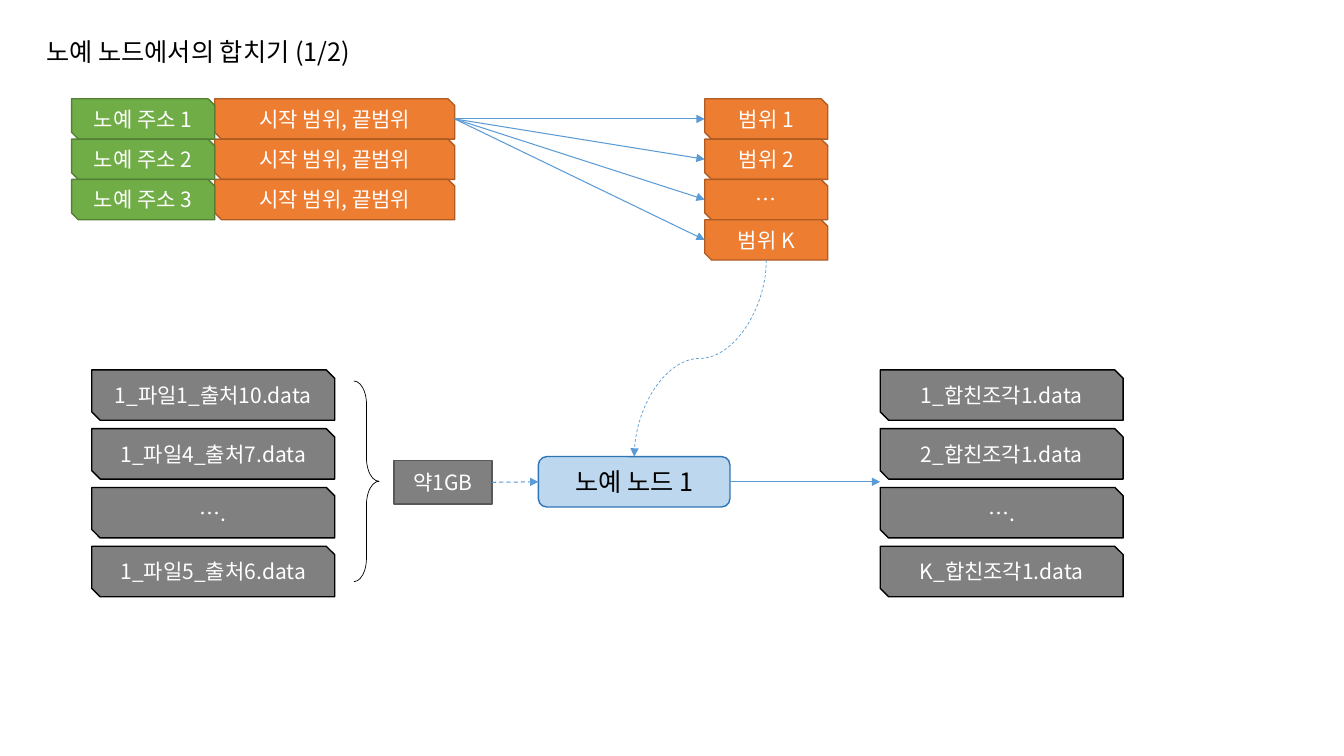
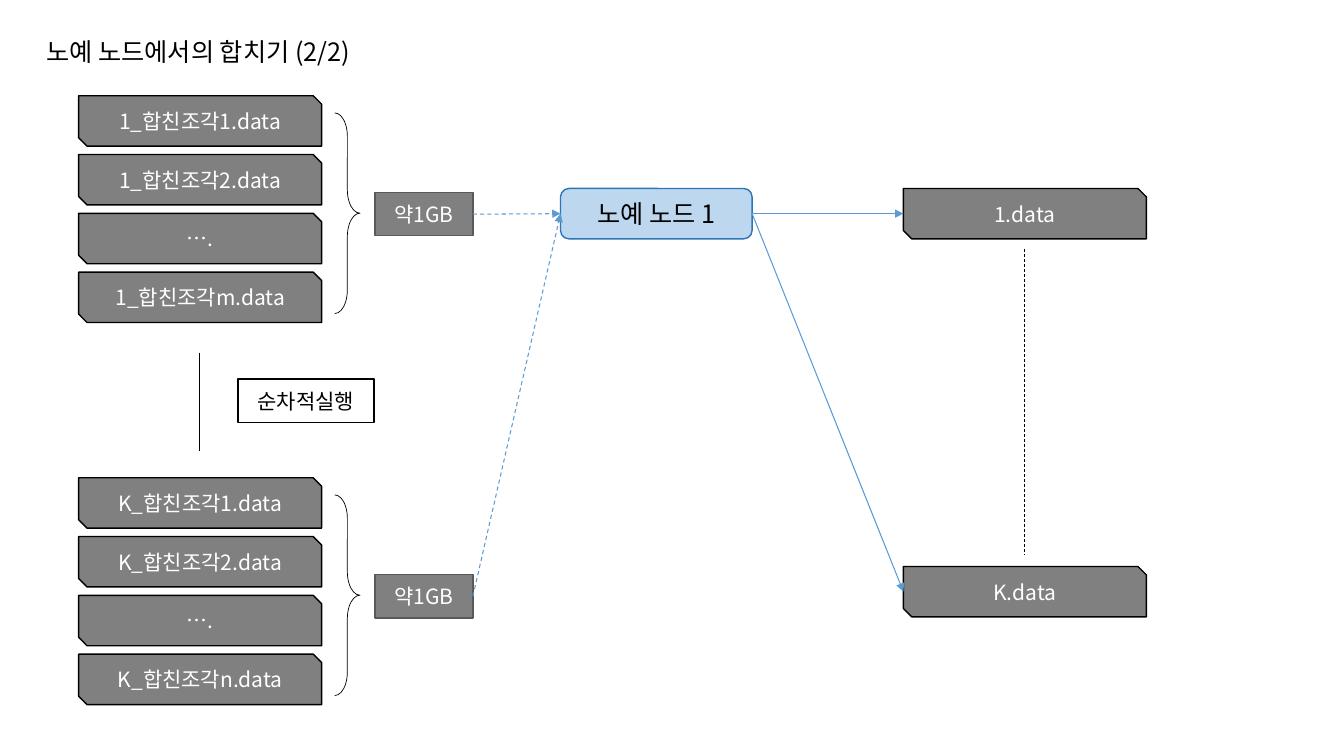
from lxml import etree
from pptx import Presentation
from pptx.dml.color import RGBColor
from pptx.enum.dml import MSO_LINE
from pptx.enum.shapes import MSO_CONNECTOR as CXN, MSO_SHAPE as SHAPE
from pptx.enum.text import MSO_ANCHOR, MSO_AUTO_SIZE, PP_ALIGN
from pptx.oxml.ns import qn
from pptx.util import Inches, Pt

# Content
TITLES = ["노예 노드에서의 합치기 (1/2)", "노예 노드에서의 합치기 (2/2)"]
NODE = "노예 노드 1"
SIZE_NOTE = "약1GB"
ADDRESSES = ["노예 주소 1", "노예 주소 2", "노예 주소 3"]
ADDRESS_RANGE = "시작 범위, 끝범위"
RANGES = ["범위 1", "범위 2", "…", "범위 K"]
SOURCE_FILES = ["1_파일1_출처10.data", "1_파일4_출처7.data", "….", "1_파일5_출처6.data"]
MERGED_PIECES = ["1_합친조각1.data", "2_합친조각1.data", "….", "K_합친조각1.data"]
FIRST_PIECES = ["1_합친조각1.data", "1_합친조각2.data", "….", "1_합친조각m.data"]
LAST_PIECES = ["K_합친조각1.data", "K_합친조각2.data", "….", "K_합친조각n.data"]
SEQUENTIAL = "순차적실행"
RESULTS = ["1.data", "K.data"]

# Shared style
FONT = "Noto Sans CJK KR"
BLACK = RGBColor(0x00, 0x00, 0x00)
WHITE = RGBColor(0xFF, 0xFF, 0xFF)
GRAY = RGBColor(0x80, 0x80, 0x80)
DARK_GRAY = RGBColor(0x59, 0x59, 0x59)
ORANGE = RGBColor(0xED, 0x7D, 0x31)
DARK_ORANGE = RGBColor(0xAF, 0x5C, 0x24)
GREEN = RGBColor(0x70, 0xAD, 0x47)
DARK_GREEN = RGBColor(0x53, 0x80, 0x35)
PALE_BLUE = RGBColor(0xBD, 0xD7, 0xEE)
DARK_BLUE = RGBColor(0x2E, 0x75, 0xB6)
BLUE = RGBColor(0x5B, 0x9B, 0xD5)

# kind: (preset, fill, line, text colour, text size)
STYLES = {
    "file": (SHAPE.SNIP_2_DIAG_RECTANGLE, GRAY, BLACK, WHITE, 15),
    "range": (SHAPE.SNIP_2_DIAG_RECTANGLE, ORANGE, DARK_ORANGE, WHITE, 15),
    "address": (SHAPE.SNIP_2_DIAG_RECTANGLE, GREEN, DARK_GREEN, WHITE, 15),
    "size": (SHAPE.RECTANGLE, GRAY, DARK_GRAY, WHITE, 15),
    "note": (SHAPE.RECTANGLE, WHITE, BLACK, BLACK, 15),
    "node": (SHAPE.ROUNDED_RECTANGLE, PALE_BLUE, DARK_BLUE, BLACK, 18),
}
FILE_W, FILE_H = 2.41, 0.5
FILE_PITCH = 1.75 / 3
ROW_H = 0.4
RIGHT, LEFT, BOTTOM, TOP = (1, 0.5), (0, 0.5), (0.5, 1), (0.5, 0)


def add_run(p, text, size, color):
    """Add one run in the shared font for Latin and Korean text."""
    r = p.add_run()
    r.text = text
    r.font.name, r.font.size = FONT, Pt(size)
    r.font.color.rgb = color
    ea = etree.SubElement(r.font._element, qn("a:ea"))
    ea.set("typeface", FONT)


def add_slide(prs, title):
    """Add a title-only slide with the shared title style."""
    s = prs.slides.add_slide(prs.slide_layouts[5])
    sp = s.shapes.title
    sp.left, sp.top, sp.width, sp.height = map(Inches, (0.36, 0.31, 7.65, 0.4))
    tf = sp.text_frame
    tf.word_wrap = True
    tf.auto_size = MSO_AUTO_SIZE.SHAPE_TO_FIT_TEXT
    tf.vertical_anchor = MSO_ANCHOR.TOP
    p = tf.paragraphs[0]
    p.alignment = PP_ALIGN.LEFT
    add_run(p, title, 18, BLACK)
    return s


def add_box(s, kind, text, x, y, w, h):
    """Add a labelled box of one of the shared styles."""
    preset, fill, line, color, size = STYLES[kind]
    sp = s.shapes.add_shape(preset, *map(Inches, (x, y, w, h)))
    sp.shadow.inherit = False
    sp.fill.solid()
    sp.fill.fore_color.rgb = fill
    sp.line.color.rgb = line
    sp.line.width = Pt(1)
    tf = sp.text_frame
    tf.word_wrap = True
    tf.vertical_anchor = MSO_ANCHOR.MIDDLE
    p = tf.paragraphs[0]
    p.alignment = PP_ALIGN.CENTER
    add_run(p, text, size, color)
    return sp


def add_stack(s, kind, labels, x, y, w, h, pitch):
    """Add boxes one below another at an equal pitch."""
    return [add_box(s, kind, label, x, y + i * pitch, w, h)
            for i, label in enumerate(labels)]


def add_files(s, labels, x, y):
    """Add a stack of data files."""
    return add_stack(s, "file", labels, x, y, FILE_W, FILE_H, FILE_PITCH)


def add_node(s, x, y):
    """Add the worker node."""
    return add_box(s, "node", NODE, x, y, 1.9, 0.5)


def add_size_group(s, x, middle):
    """Add a brace and, to its right, the size box; return the box."""
    brace = s.shapes.add_shape(SHAPE.RIGHT_BRACE, *map(
        Inches, (x, middle - 1, 0.25, 1.99)))
    brace.shadow.inherit = False
    brace.adjustments[0], brace.adjustments[1] = 0.929, 0.5
    brace.fill.background()
    brace.line.color.rgb = BLACK
    brace.line.width = Pt(0.5)
    return add_box(s, "size", SIZE_NOTE, x + 0.4, middle - 0.21, 0.97, 0.43)


def at(sp, side):
    """Return the point of a shape on the given side, in inches."""
    fx, fy = side
    return ((sp.left + fx * sp.width) / Inches(1),
            (sp.top + fy * sp.height) / Inches(1))


def add_line(s, start, end, color=BLUE, width=0.75, dash=False, arrow=True,
             kind=CXN.STRAIGHT):
    """Add a connector between two points given in inches."""
    c = s.shapes.add_connector(kind, *map(Inches, (*start, *end)))
    c.line.color.rgb = color
    c.line.width = Pt(width)
    if dash:
        c.line.dash_style = MSO_LINE.DASH
    if arrow:
        tail = etree.SubElement(c.line._get_or_add_ln(), qn("a:tailEnd"))
        tail.set("type", "triangle")
    etree.SubElement(c._element.spPr, qn("a:effectLst"))
    return c


def add_falling_curve(s, start, end):
    """Add a dashed curve that leaves and arrives vertically, down to the left."""
    (x1, y1), (x2, y2) = start, end
    cx, cy = (x1 + x2) / 2, (y1 + y2) / 2
    half_w, half_h = (y2 - y1) / 2, (x1 - x2) / 2
    c = add_line(s, (cx - half_w, cy - half_h), (cx + half_w, cy + half_h),
                 width=0.5, dash=True, kind=CXN.CURVE)
    c._element.spPr.find(qn("a:xfrm")).set("rot", str(90 * 60000))


def build_first(prs):
    """Build the step that merges source files into pieces."""
    s = add_slide(prs, TITLES[0])
    node = add_node(s, 5.34, 4.53)
    spans = add_stack(s, "range", [ADDRESS_RANGE] * len(ADDRESSES),
                      2.13, 0.98, 2.38, ROW_H, ROW_H)
    add_stack(s, "address", ADDRESSES, 0.71, 0.98, 1.42, ROW_H, ROW_H)
    ranges = add_stack(s, "range", RANGES, 6.99, 0.98, 1.22, ROW_H, ROW_H)
    for sp in ranges:
        add_line(s, at(spans[0], RIGHT), at(sp, LEFT))
    add_falling_curve(s, at(ranges[-1], BOTTOM), at(node, TOP))

    add_files(s, SOURCE_FILES, 0.91, 3.67)
    size = add_size_group(s, 3.51, 4.78)
    add_line(s, at(size, RIGHT), at(node, LEFT), dash=True)
    add_files(s, MERGED_PIECES, 8.73, 3.67)
    add_line(s, at(node, RIGHT), (8.73, 4.78))


def build_second(prs):
    """Build the step that merges pieces into final files."""
    s = add_slide(prs, TITLES[1])
    node = add_node(s, 5.56, 1.87)
    for labels, top in ((FIRST_PIECES, 0.95), (LAST_PIECES, 4.74)):
        add_files(s, labels, 0.78, top)
        size = add_size_group(s, 3.32, top + 1.17)
        add_line(s, at(size, RIGHT), at(node, LEFT), dash=True)
    add_line(s, (1.98, 3.5), (1.98, 4.47), BLACK, 0.5, arrow=False)
    add_box(s, "note", SEQUENTIAL, 2.36, 3.76, 1.35, 0.43)

    for label, top in zip(RESULTS, (1.87, 5.62)):
        result = add_box(s, "file", label, 8.96, top, FILE_W, FILE_H)
        add_line(s, at(node, RIGHT), at(result, LEFT))
    add_line(s, (10.16, 2.47), (10.16, 5.5), BLACK, 0.5, dash=True, arrow=False)


prs = Presentation()
prs.slide_width, prs.slide_height = Inches(13.33), Inches(7.5)
build_first(prs)
build_second(prs)
prs.save("out.pptx")
